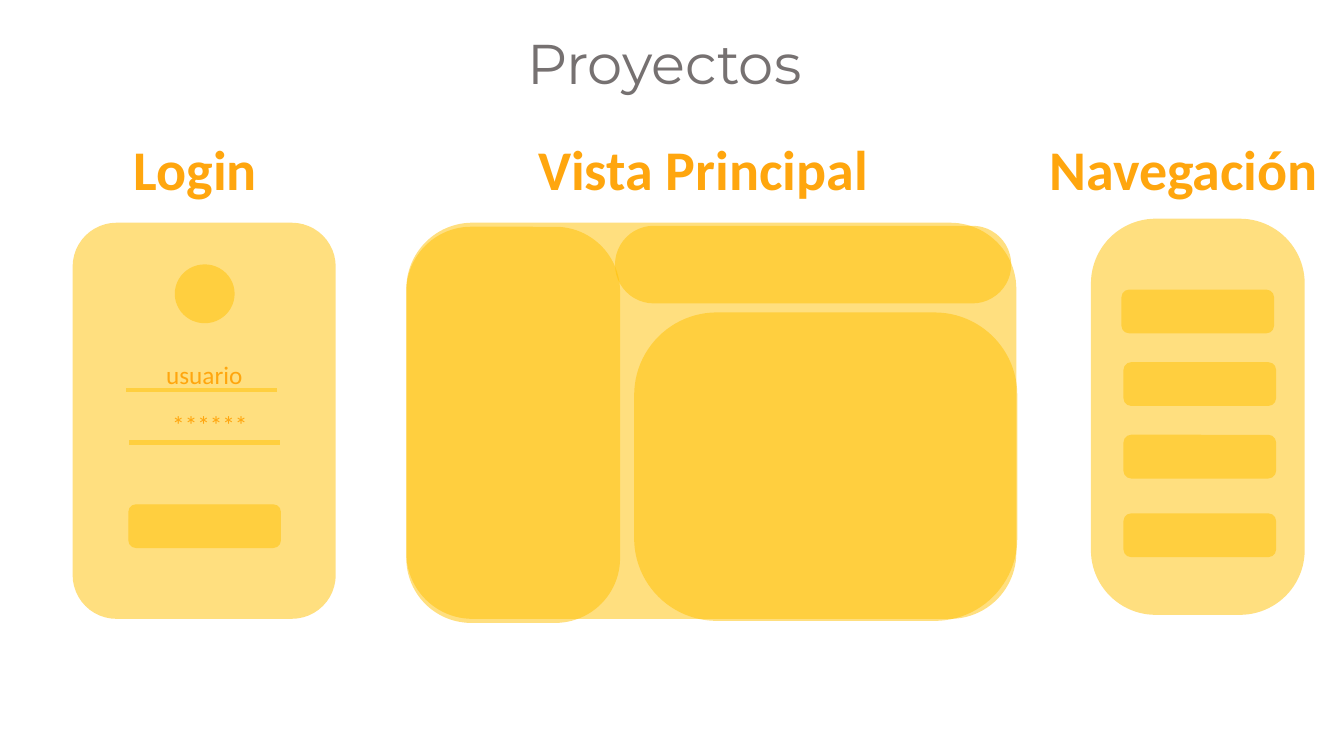
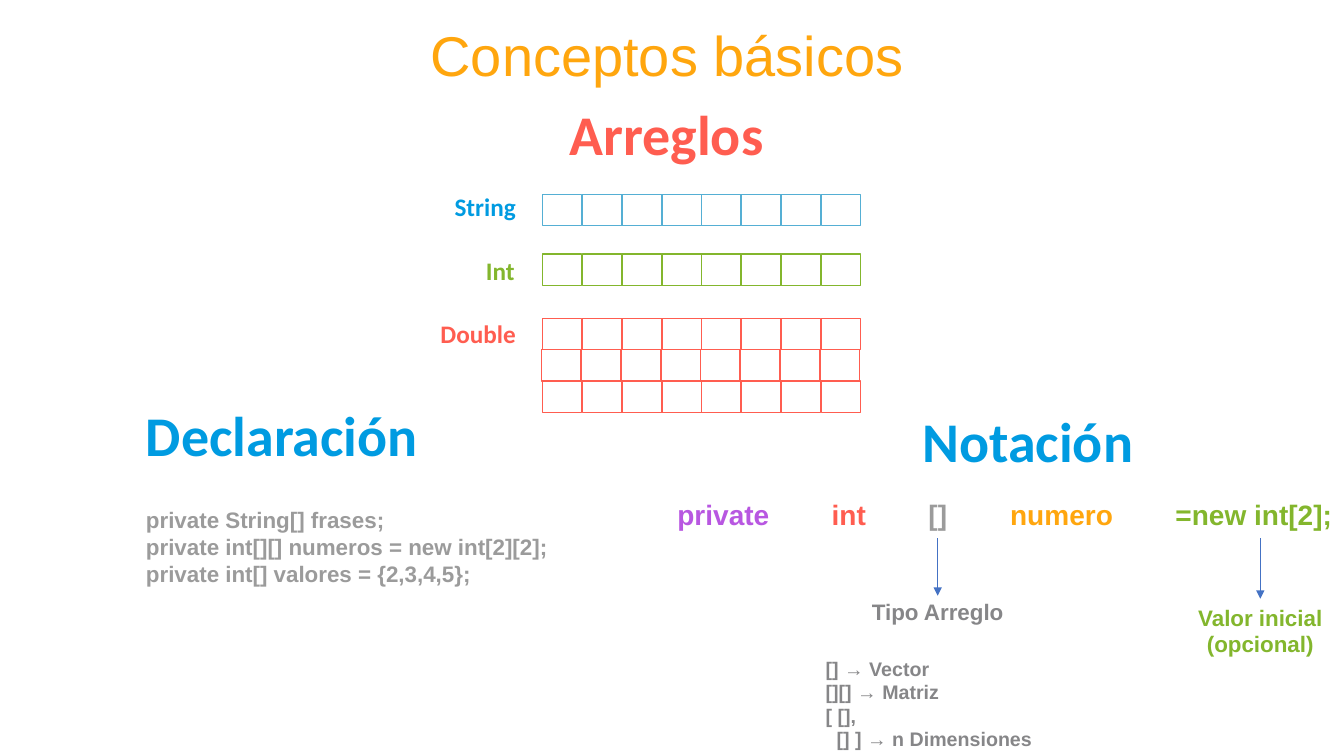
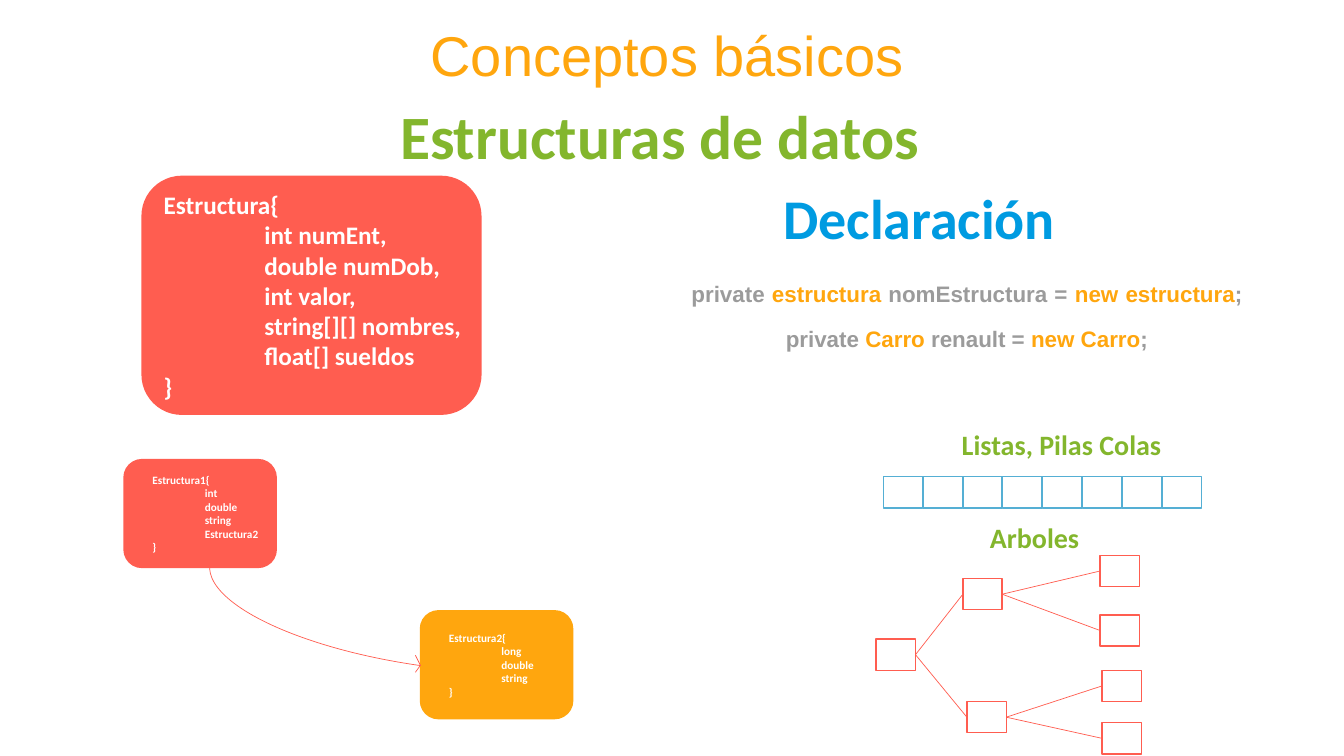
"""Build three slides on app projects, arrays and data structures."""
from lxml import etree
from pptx import Presentation
from pptx import util as u
from pptx.dml import color
from pptx.enum import shapes, text
from pptx.oxml import ns

ORANGE, BLUE, GREEN, RED = "FFA60E", "009BE1", "83B62D", "FF5D50"
SKY, PURPLE, ARROW = "55AFD4", "B857E1", "4472C4"
GOLD, AMBER, WHITE = "FFCF3F", "FFC000", "FFFFFF"
GRAY, SLATE, SILVER = "767171", "868688", "9B9B9B"

HEADING = {"size": 40, "name": "Calibri", "bold": True}
LARGE_HEADING = {**HEADING, "size": 44}
SUBHEADING = {**HEADING, "size": 20}
LABEL = {**HEADING, "size": 18}
FIELD = {**LABEL, "bold": False}
SMALL_CODE = {**HEADING, "size": 8}
CODE = {"size": 16, "name": "Arial", "bold": True}
NOTATION = {**CODE, "size": 20}
KINDS = {**CODE, "size": 14}
TITLE = {"size": 40, "name": "Arial", "bold": False}

ALIGN = text.PP_ALIGN
ROUND, OVAL, RECT, ARC = (shapes.MSO_SHAPE.ROUNDED_RECTANGLE, shapes.MSO_SHAPE.OVAL,
                          shapes.MSO_SHAPE.RECTANGLE, shapes.MSO_SHAPE.ARC)
CELL_WIDTH, CELL_HEIGHT, CELL_PITCH, CELL_COUNT = 0.39, 0.31, 0.395, 8
BUTTON = (1.5, 0.42)
BASICS_TITLE = ("Conceptos básicos", (4.16, 0.15, 4.91, 0.77), TITLE, ORANGE)

PANELS = [
    ((0.72, 2.21, 2.61, 3.93), 0.167),
    ((4.03, 2.21, 6.05, 3.93), 0.167),
    ((4.03, 2.25, 2.12, 3.93), 0.303),
    ((6.1, 2.24, 3.93, 0.77), 0.5),
    ((6.29, 3.1, 3.8, 3.06), 0.268),
    ((10.82, 2.17, 2.12, 3.93), 0.303),
]
BUTTONS = [(1.28, 5.01), (11.13, 2.88), (11.15, 3.6), (11.15, 4.32), (11.15, 5.1)]
FIELD_LINES = [(1.25, 3.87), (1.28, 4.39)]
PROJECT_LABELS = [
    ("usuario", (1.55, 3.52, 0.97, 0.4), FIELD, ORANGE),
    ("******", (1.61, 4.01, 0.96, 0.4), FIELD, ORANGE),
    ("Login", (1.23, 1.29, 1.57, 0.77), HEADING, ORANGE),
    ("Vista Principal", (5.24, 1.29, 3.64, 0.77), HEADING, ORANGE),
    ("Navegación", (10.31, 1.29, 2.89, 0.77), HEADING, ORANGE),
]

ARRAYS = [(5.38, 1.93, SKY), (5.38, 2.52, GREEN), (5.38, 3.16, RED),
          (5.37, 3.47, RED), (5.38, 3.78, RED)]
ARRAY_LABELS = [
    ("Double", (4.27, 3.11, 0.95, 0.4), LABEL, RED),
    ("Int", (4.72, 2.48, 0.49, 0.4), LABEL, GREEN),
    ("String", (4.41, 1.85, 0.81, 0.4), LABEL, BLUE),
    ("Arreglos", (5.55, 0.94, 2.15, 0.77), HEADING, RED),
    ("Declaración", (1.35, 3.92, 2.93, 0.77), HEADING, BLUE),
    ("Notación", (9.05, 3.98, 2.32, 0.77), HEADING, BLUE),
]
DECLARATIONS = ["private String[] frases;", "private int[][] numeros = new int[2][2];",
                "private int[] valores = {2,3,4,5};"]
NOTATION_RUNS = [("private", PURPLE), ("\tint", RED), ("\t[]", SILVER),
                 ("\tnumero", ORANGE), ("\t=new int[2];", GREEN)]
NOTATION_TABS = [1.53, 2.49, 3.3, 4.94]
ARRAY_KINDS = ["[] → Vector", "[][] → Matriz", "[ [],", "[] ] → n Dimensiones"]
NOTE_ARROWS = [(9.3, 5.34, 5.91), (12.5, 5.34, 5.94)]

STRUCTURE_LABELS = [
    ("Estructuras de datos", (3.87, 0.92, 5.4, 0.84), LARGE_HEADING, GREEN),
    ("Declaración", (7.67, 1.77, 2.93, 0.77), HEADING, BLUE),
    ("Listas, Pilas Colas", (9.44, 4.19, 2.2, 0.44), SUBHEADING, GREEN),
    ("Arboles", (9.72, 5.11, 1.1, 0.44), SUBHEADING, GREEN),
]
STRUCTURES = [
    ("Estructura{", ["int numEnt,", "double numDob,", "int valor,", "string[][] nombres,",
                     "float[] sueldos"], (1.41, 1.75, 3.36, 2.36), RED, LABEL, 0.1, 1),
    ("Estructura1{", ["int", "double", "string", "Estructura2"],
     (1.23, 4.56, 1.51, 1.07), RED, SMALL_CODE, 0.23, 0.52),
    ("Estructura2{", ["long", "double", "string"],
     (4.17, 6.06, 1.51, 1.07), ORANGE, SMALL_CODE, 0.23, 0.52),
]
STRUCTURE_CODE = [
    ((6.76, 2.73, 5.66, 0.37), ALIGN.JUSTIFY,
     ["private ", "estructura ", "nomEstructura = ", "new estructura", "; "]),
    ((6.79, 3.18, 5.66, 0.37), ALIGN.CENTER,
     ["private ", "Carro ", "renault = ", "new Carro", "; "]),
]
POINTER_HEAD = [((4.12, 6.5), (4.17, 6.6)), ((4.17, 6.6), (4.12, 6.67))]
TREE_NODES = [(8.69, 6.34), (9.55, 5.74), (9.59, 6.96), (10.91, 5.51),
              (10.91, 6.1), (10.93, 6.65), (10.93, 7.17)]
TREE_LEFT, TREE_RIGHT = 1, 3


def rgb(value):
    return color.RGBColor.from_string(value)


def inches(values):
    return [u.Inches(value) for value in values]


def add_child(parent, tag, **attributes):
    return etree.SubElement(parent, ns.qn(tag), attributes)


def assign(target, values):
    for name, value in values.items():
        setattr(target, name, value)


def write(frame, paragraphs, style):
    """Fill a frame from (runs, format) pairs, each run being (text, colour)."""
    for index, (runs, options) in enumerate(paragraphs):
        paragraph = frame.paragraphs[0] if index == 0 else frame.add_paragraph()
        options = dict(options)
        indent, tabs = options.pop("indent", 0), options.pop("tabs", [])
        size = options.pop("size", style["size"])
        assign(paragraph, options)
        properties = paragraph._p.get_or_add_pPr()
        if indent:
            properties.set("marL", str(u.Inches(indent)))
            properties.set("indent", "0")
        if tabs:
            tab_list = add_child(properties, "a:tabLst")
            for tab in tabs:
                add_child(tab_list, "a:tab", pos=str(u.Inches(tab)), algn="l")
        for words, colour in runs:
            run = paragraph.add_run()
            run.text = words
            assign(run.font, {**style, "size": u.Pt(size)})
            run.font.color.rgb = rgb(colour)


def add_text(slide, box, paragraphs, style, wrap=True):
    frame = slide.shapes.add_textbox(*inches(box)).text_frame
    assign(frame, {"word_wrap": wrap, "auto_size": text.MSO_AUTO_SIZE.SHAPE_TO_FIT_TEXT})
    write(frame, paragraphs, style)


def add_labels(slide, labels):
    for words, box, style, colour in labels:
        add_text(slide, box, [([(words, colour)], {})], style, wrap=False)


def add_title(slide, words, box, style, colour):
    add_text(slide, box, [([(words, colour)], {"alignment": ALIGN.CENTER})], style)


def add_shape(slide, kind, box, fill=None, outline=None, width=1, corner=None, alpha=None):
    shape = slide.shapes.add_shape(kind, *inches(box))
    shape.shadow.inherit = False
    if fill:
        shape.fill.solid()
        shape.fill.fore_color.rgb = rgb(fill)
    else:
        shape.fill.background()
    if alpha:
        paint = shape._element.spPr.find(ns.qn("a:solidFill"))
        add_child(paint[0], "a:alpha", val=str(alpha * 1000))
    if outline:
        shape.line.color.rgb = rgb(outline)
        shape.line.width = u.Pt(width)
    else:
        shape.line.fill.background()
    if corner:
        shape.adjustments[0] = corner
    return shape


def add_line(slide, start, end, colour, width=0.5, arrow=False):
    connector = slide.shapes.add_connector(shapes.MSO_CONNECTOR.STRAIGHT, *inches(start + end))
    connector.line.color.rgb = rgb(colour)
    connector.line.width = u.Pt(width)
    if arrow:
        add_child(connector.line._get_or_add_ln(), "a:tailEnd", type="triangle")
    add_child(connector._element.spPr, "a:effectLst")
    return connector


def add_cell(slide, left, top, colour):
    return add_shape(slide, RECT, (left, top, CELL_WIDTH, CELL_HEIGHT), WHITE, colour)


def add_array(slide, left, top, colour):
    for column in range(CELL_COUNT):
        add_cell(slide, left + column * CELL_PITCH, top, colour)


def build_projects(slide):
    add_title(slide, "Proyectos", (4.51, 0.23, 4.16, 0.77), {**TITLE, "name": "Montserrat"}, GRAY)
    for box, corner in PANELS:
        add_shape(slide, ROUND, box, AMBER, corner=corner, alpha=50)
    for left, top in FIELD_LINES:
        add_line(slide, (left, top), (left + BUTTON[0], top), GOLD, 3)
    for corner in BUTTONS:
        add_shape(slide, ROUND, corner + BUTTON, GOLD, GOLD)
    add_shape(slide, OVAL, (1.74, 2.63, 0.58, 0.57), GOLD, GOLD)
    add_labels(slide, PROJECT_LABELS)


def build_arrays(slide):
    add_title(slide, *BASICS_TITLE)
    for array in ARRAYS:
        add_array(slide, *array)
    add_labels(slide, ARRAY_LABELS)
    add_text(slide, (1.35, 4.97, 4.54, 0.91),
             [([(row, SILVER)], {"alignment": ALIGN.JUSTIFY}) for row in DECLARATIONS], CODE)
    add_text(slide, (6.62, 4.89, 6.78, 0.44), [(NOTATION_RUNS, {"tabs": NOTATION_TABS})], NOTATION)
    kinds = [([(row, SLATE)], {}) for row in ARRAY_KINDS]
    kinds[0][1]["space_before"] = u.Pt(23)
    kinds[-1][1]["indent"] = 0.11
    heading = ([("Tipo Arreglo", SLATE)], {"alignment": ALIGN.CENTER, "size": CODE["size"]})
    add_text(slide, (8.09, 5.88, 2.42, 1.65), [heading] + kinds, KINDS)
    add_text(slide, (11.67, 5.94, 1.66, 0.64),
             [([(row, GREEN)], {"alignment": ALIGN.CENTER})
              for row in ("Valor inicial", "(opcional)")], CODE)
    for left, top, bottom in NOTE_ARROWS:
        add_line(slide, (left, top), (left, bottom), ARROW, arrow=True)


def build_structures(slide):
    add_title(slide, *BASICS_TITLE)
    add_labels(slide, STRUCTURE_LABELS)
    for opening, members, box, fill, style, inset, indent in STRUCTURES:
        frame = add_shape(slide, ROUND, box, fill, fill).text_frame
        assign(frame, {"word_wrap": True, "margin_left": u.Inches(inset), "margin_right": 0,
                       "vertical_anchor": text.MSO_ANCHOR.MIDDLE})
        rows = [(opening, 0)] + [(member, indent) for member in members] + [("}", 0)]
        write(frame, [([(row, WHITE)], {"alignment": ALIGN.LEFT, "indent": depth})
                      for row, depth in rows], style)
    pointer = add_shape(slide, ARC, (2.06, 5.2, 4.42, 1.41), outline=RED, width=0.5)
    pointer.rotation = 188
    for start, end in POINTER_HEAD:
        add_line(slide, start, end, RED)
    for box, alignment, words in STRUCTURE_CODE:
        runs = [(word, (SILVER, ORANGE)[index % 2]) for index, word in enumerate(words)]
        add_text(slide, box, [(runs, {"alignment": alignment})], CODE)
    add_array(slide, 8.76, 4.73, SKY)
    nodes = [add_cell(slide, left, top, RED) for left, top in TREE_NODES]
    for index, node in enumerate(nodes[1:]):
        branch = add_line(slide, (0, 0), (1, 1), RED)
        branch.begin_connect(nodes[index // 2], TREE_RIGHT)
        branch.end_connect(node, TREE_LEFT)


def main():
    presentation = Presentation()
    presentation.slide_width, presentation.slide_height = inches((13.33, 7.5))
    for build in (build_projects, build_arrays, build_structures):
        build(presentation.slides.add_slide(presentation.slide_layouts[6]))
    presentation.save("out.pptx")


if __name__ == "__main__":
    main()
